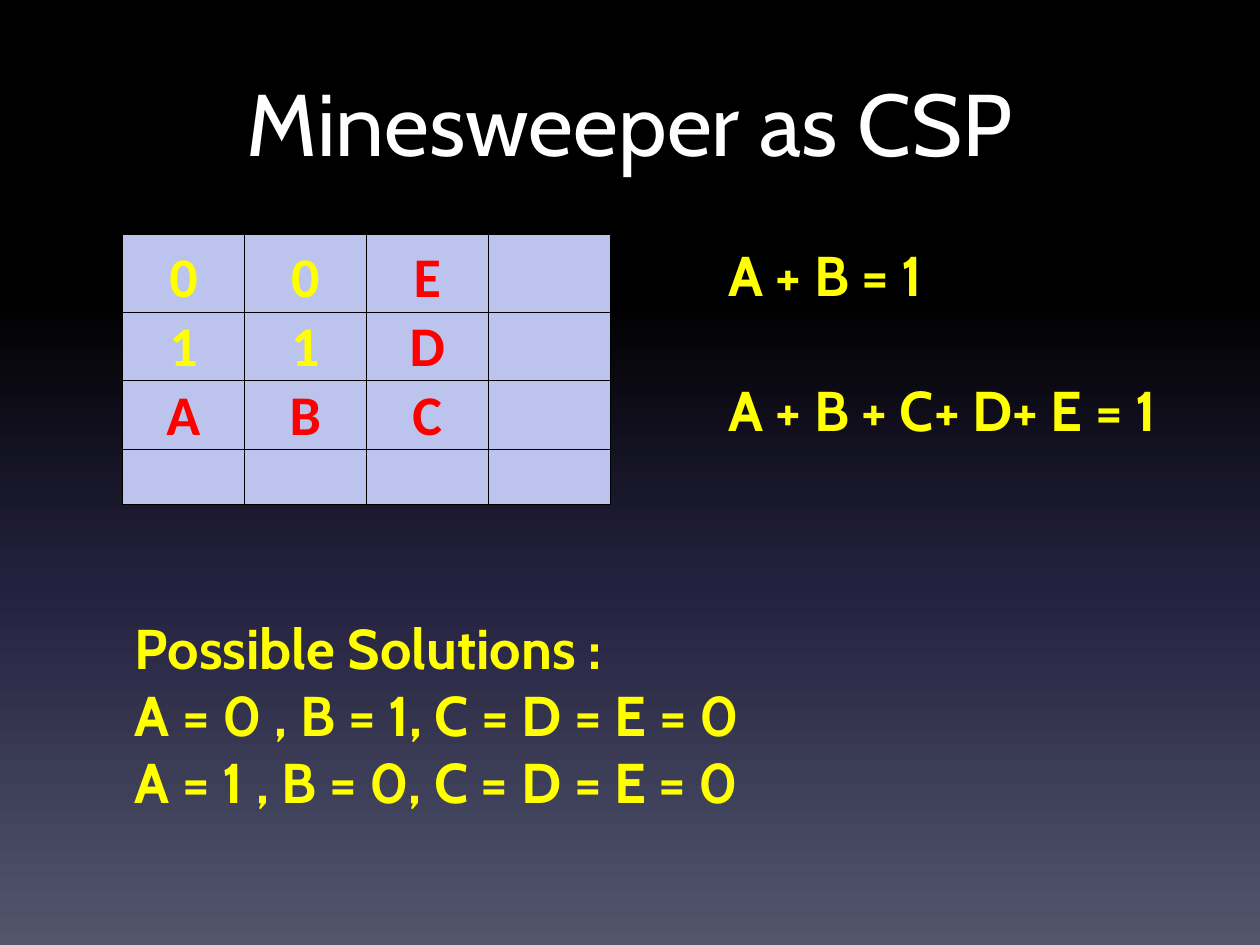
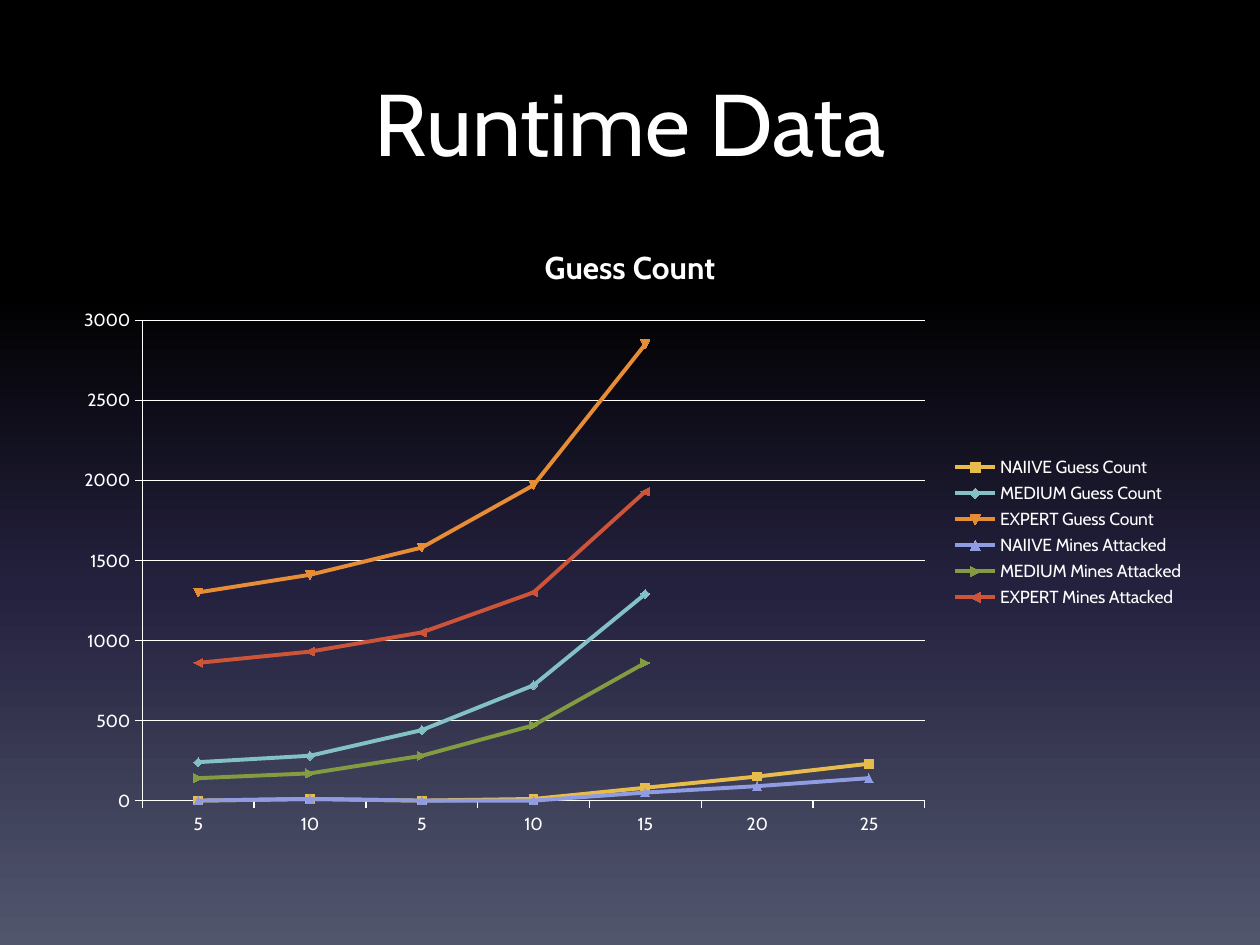
from dataclasses import dataclass

from lxml.etree import SubElement
from pptx import Presentation
from pptx.chart.data import CategoryChartData
from pptx.dml.color import RGBColor
from pptx.enum.chart import XL_CHART_TYPE, XL_LEGEND_POSITION, XL_TICK_MARK
from pptx.enum.text import MSO_ANCHOR, PP_ALIGN
from pptx.oxml.ns import qn
from pptx.util import Pt


@dataclass(frozen=True)
class Theme:
    white: str = "FFFFFF"
    black: str = "000000"
    yellow: str = "FFFF00"
    red: str = "FF0000"
    cell: str = "BCC4ED"
    backdrop: tuple = ((0, "000000"), (31, "000000"), (62, "24213E"), (100, "51566D"))
    series: tuple = ("E8BC4A", "83C1C6", "E78D35", "909CE1", "839C41", "CC5439")
    font: str = "Cabin"
    grid_font: str = "Calibri"
    title_size: int = 50
    body_size: int = 32
    chart_title_size: int = 18
    chart_size: int = 10


THEME = Theme()


def style_font(font, size, color, bold=False, name=THEME.font):
    font.name = name
    font.size = Pt(size)
    font.bold = bold
    font.color.rgb = RGBColor.from_string(color)


def write(frame, text, align=PP_ALIGN.LEFT, gap=0, **font_format):
    for index, line in enumerate(text.split("\n")):
        paragraph = frame.add_paragraph() if index else frame.paragraphs[0]
        paragraph.alignment = align
        paragraph.space_before = Pt(gap if index else 0)
        run = paragraph.add_run()
        run.text = line
        style_font(run.font, **font_format)


class Deck:
    def __init__(self, theme):
        self.theme = theme
        self.presentation = Presentation()
        self.presentation.slide_width = Pt(720)
        self.presentation.slide_height = Pt(540)
        self.slide = None
        self.paint_backdrop()

    def paint_backdrop(self):
        master = self.presentation.slide_master
        fill = master.background.fill
        fill.gradient()
        fill.gradient_angle = 270
        stops = next(master.element.iter(qn("a:gsLst")))
        for stop in list(stops):
            stops.remove(stop)
        for percent, color in self.theme.backdrop:
            stop = SubElement(stops, qn("a:gs"), pos=str(percent * 1000))
            SubElement(stop, qn("a:srgbClr"), val=color)

    def add_slide(self, title):
        self.slide = self.presentation.slides.add_slide(self.presentation.slide_layouts[6])
        self.add_text(title, 36, 36, 648, 90, align=PP_ALIGN.CENTER,
                      size=self.theme.title_size, color=self.theme.white)

    def add_text(self, text, left, top, width, height, **text_format):
        frame = self.slide.shapes.add_textbox(Pt(left), Pt(top), Pt(width), Pt(height)).text_frame
        frame.word_wrap = True
        write(frame, text, **text_format)

    def add_statement(self, text, left, top, width, height, gap=0):
        self.add_text(text, left, top, width, height, gap=gap, bold=True,
                      size=self.theme.body_size, color=self.theme.yellow)

    def add_minefield(self, rows, left, top, column_width, row_heights):
        columns = len(rows[0])
        minefield = self.slide.shapes.add_table(
            len(rows), columns, Pt(left), Pt(top),
            Pt(column_width * columns), Pt(sum(row_heights))).table
        minefield.first_row = minefield.horz_banding = False
        for column in minefield.columns:
            column.width = Pt(column_width)
        for row, height, marks in zip(minefield.rows, row_heights, rows):
            row.height = Pt(height)
            for cell, mark in zip(row.cells, marks):
                self.style_square(cell, mark.strip())

    def style_square(self, cell, mark):
        if mark:
            cell.margin_left = cell.margin_right = cell.margin_top = Pt(0.75)
            cell.margin_bottom = 0
            cell.vertical_anchor = MSO_ANCHOR.BOTTOM
            write(cell.text_frame, mark, align=PP_ALIGN.CENTER, bold=True,
                  size=self.theme.body_size, name=self.theme.grid_font,
                  color=self.theme.yellow if mark.isdigit() else self.theme.red)
        properties = cell._tc.get_or_add_tcPr()
        for side in ("lnL", "lnR", "lnT", "lnB"):
            border = SubElement(properties, qn(f"a:{side}"), w=str(Pt(0.5)))
            SubElement(SubElement(border, qn("a:solidFill")), qn("a:srgbClr"),
                       val=self.theme.black)
        cell.fill.solid()
        cell.fill.fore_color.rgb = RGBColor.from_string(self.theme.cell)

    def draw_line(self, line, color, width):
        line.color.rgb = RGBColor.from_string(color)
        line.width = Pt(width)

    def add_line_chart(self, title, categories, counts, left, top, width, height, plot_area):
        theme = self.theme
        data = CategoryChartData()
        data.categories = categories
        for name, values in counts.items():
            data.add_series(name, values + [None] * (len(categories) - len(values)))
        chart = self.slide.shapes.add_chart(
            XL_CHART_TYPE.LINE_MARKERS, Pt(left), Pt(top), Pt(width), Pt(height), data).chart
        style_font(chart.font, theme.chart_size, theme.white)
        chart.has_title = True
        write(chart.chart_title.text_frame, title, align=PP_ALIGN.CENTER, bold=True,
              size=theme.chart_title_size, color=theme.white)
        chart.has_legend = True
        chart.legend.position = XL_LEGEND_POSITION.RIGHT
        chart.legend.include_in_layout = False
        for axis in (chart.category_axis, chart.value_axis):
            axis.major_tick_mark = XL_TICK_MARK.OUTSIDE
            axis.minor_tick_mark = XL_TICK_MARK.NONE
            self.draw_line(axis.format.line, theme.white, 0.75)
        scale = chart.value_axis
        scale.minimum_scale, scale.maximum_scale, scale.major_unit = 0, 3000, 500
        scale.has_major_gridlines = True
        self.draw_line(scale.major_gridlines.format.line, theme.white, 0.75)
        chart.plots[0].vary_by_categories = False
        for series, color in zip(chart.plots[0].series, theme.series):
            series.smooth = False
            self.draw_line(series.format.line, color, 2.25)
            series.marker.format.fill.solid()
            series.marker.format.fill.fore_color.rgb = RGBColor.from_string(color)
            self.draw_line(series.marker.format.line, color, 0.75)
        self.place_plot(chart, plot_area)

    def place_plot(self, chart, plot_area):
        plot = next(chart.element.iter(qn("c:plotArea")))
        for layout in plot.findall(qn("c:layout")):
            plot.remove(layout)
        layout = SubElement(plot, qn("c:layout"))
        plot.insert(0, layout)
        manual = SubElement(layout, qn("c:manualLayout"))
        SubElement(manual, qn("c:layoutTarget"), val="inner")
        for mode in ("xMode", "yMode"):
            SubElement(manual, qn(f"c:{mode}"), val="edge")
        for key, share in zip("xywh", plot_area):
            SubElement(manual, qn(f"c:{key}"), val=str(share))


def main():
    deck = Deck(THEME)

    deck.add_slide("Minesweeper as CSP")
    deck.add_minefield(["00E ", "11D ", "ABC ", "    "], 70, 134, 69.7, [44.5, 31.5, 31.5, 31.5])
    deck.add_statement("A + B = 1\nA + B + C+ D+ E = 1", 409, 134, 275, 124, gap=38.6)
    deck.add_statement("Possible Solutions :\n"
                       "A = 0 , B = 1, C = D = E = 0\n"
                       "A = 1 , B = 0, C = D = E = 0", 70, 347, 614, 124)

    deck.add_slide("Runtime Data")
    counts = {
        "NAIIVE Guess Count": [0, 10, 0, 10, 80, 150, 230],
        "MEDIUM Guess Count": [240, 280, 440, 720, 1290],
        "EXPERT Guess Count": [1300, 1410, 1580, 1970, 2850],
        "NAIIVE Mines Attacked": [0, 10, 0, 0, 50, 90, 140],
        "MEDIUM Mines Attacked": [140, 170, 280, 470, 860],
        "EXPERT Mines Attacked": [860, 930, 1050, 1300, 1930],
    }
    deck.add_line_chart("Guess Count", ["5", "10", "5", "10", "15", "20", "25"], counts,
                        36, 126, 648, 356.5, plot_area=(0.07, 0.16, 0.69, 0.77))

    deck.presentation.save("out.pptx")


if __name__ == "__main__":
    main()
